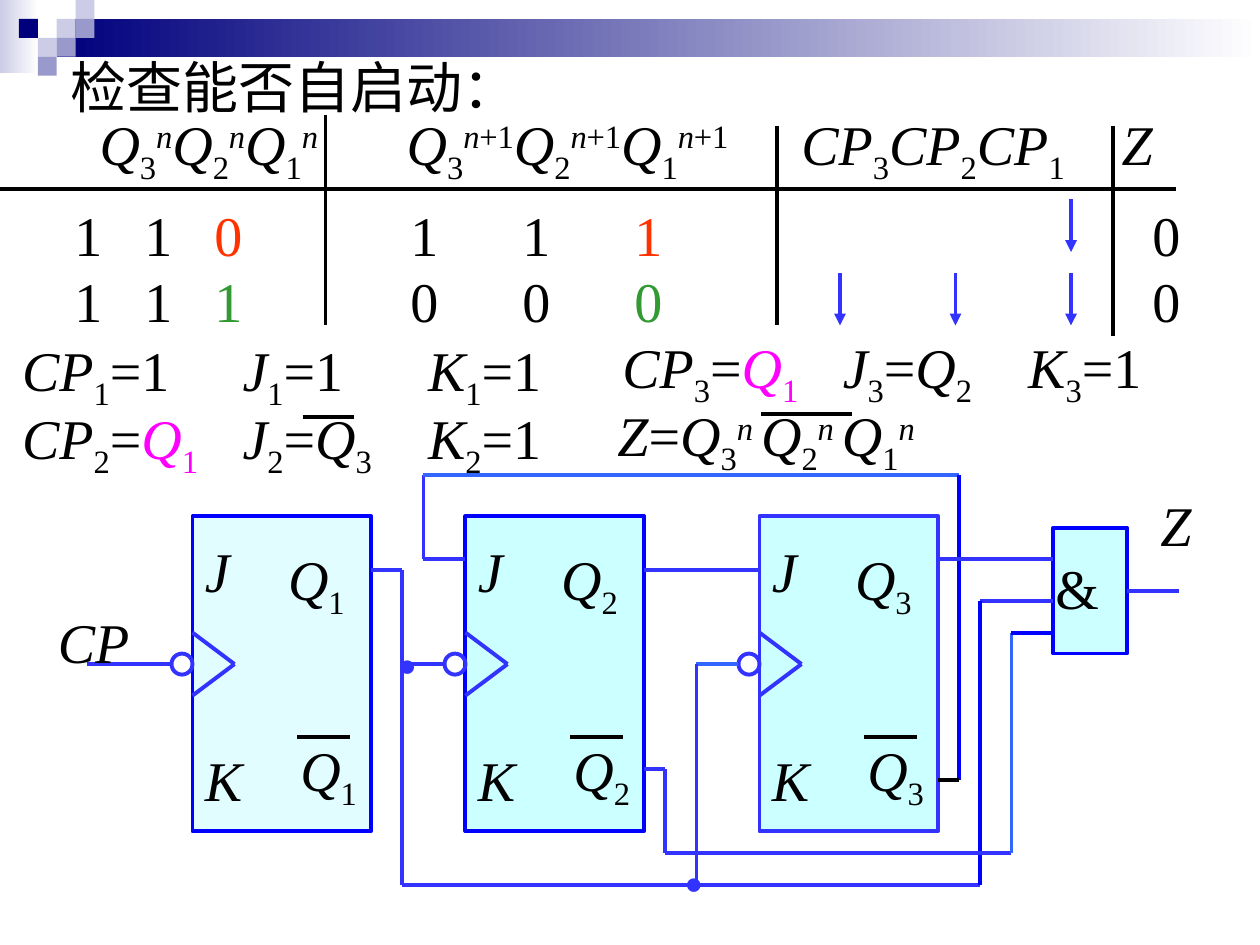
from itertools import groupby, pairwise

from lxml import etree
from pptx import Presentation
from pptx.dml.color import RGBColor
from pptx.enum import shapes, text
from pptx.oxml import ns
from pptx.util import Pt

BLACK = RGBColor(0, 0, 0)
WHITE = RGBColor(255, 255, 255)
NAVY = RGBColor(0, 0, 0x7D)
LILAC = RGBColor(0xCC, 0xCC, 0xE6)
MAUVE = RGBColor(0x99, 0x99, 0xCC)
VIOLET = RGBColor(0x33, 0x33, 0xFF)
BLUE = RGBColor(0, 0, 255)
ROYAL = RGBColor(0x33, 0x66, 0xFF)
CYAN = RGBColor(0xCC, 255, 255)
PALE = RGBColor(0xE1, 0xFD, 255)
RED = RGBColor(255, 0x33, 0)
GREEN = RGBColor(0x33, 0x99, 0x33)
PINK = RGBColor(255, 0, 255)

TITLE = "检查能否自启动："

# Corner squares: column, row, colour
TILES = [(3, 1, LILAC), (4, 0, LILAC), (4, 1, MAUVE), (2, 2, LILAC),
         (1, 1, NAVY), (3, 2, MAUVE), (2, 3, MAUVE)]
TILE = 10.8

# In formulas "_" lowers and "^" raises the next character; letters are italic
HEAD_TABS = [16, 191.5, 417, 600]
ROW_TABS = [16, 56, 96, 208, 272, 336, 632]
EQ_TABS = [126, 232]
# left, top, width, tab stops, pieces (text, colour)
LINES = [
    (33.8, 59, 650, HEAD_TABS, [
        ("\tQ_3^nQ_2^nQ_1^n\tQ_3^n^+^1Q_2^n^+^1Q_1^n^+^1"
         "\tCP_3CP_2CP_1\tZ", BLACK)]),
    (19.4, 111, 672, ROW_TABS, [
        ("\t1\t1\t", BLACK), ("0", RED), ("\t1\t1\t", BLACK), ("1", RED),
        ("\t0", BLACK)]),
    (19.4, 149, 672, ROW_TABS, [
        ("\t1\t1\t", BLACK), ("1", GREEN), ("\t0\t0\t", BLACK), ("0", GREEN),
        ("\t0", BLACK)]),
    (5.5, 188, 320, EQ_TABS, [("CP_1=1\tJ_1=1\tK_1=1", BLACK)]),
    (5.5, 227, 320, EQ_TABS, [
        ("CP_2=", BLACK), ("Q_1", PINK), ("\tJ_2=Q_3\tK_2=1", BLACK)]),
    (348.5, 186.5, 320, EQ_TABS, [
        ("CP_3=", BLACK), ("Q_1", PINK), ("\tJ_3=Q_2\tK_3=1", BLACK)]),
    (345.7, 225.5, 294, [], [("Z=Q_3^n^ Q_2^n^ Q_1^n", BLACK)]),
]

RULES = [
    [(0, 108), (672, 108)],
    [(186, 66), (186, 186)],
    [(444, 72), (444, 186)],
    [(636, 72), (636, 192)],
    [(435, 236.5), (487, 236.5)],
    [(173, 238.5), (202.5, 238.5)],
]
ARROWS = [(612, 114), (612, 156), (546, 156), (480, 156)]

# Flip-flops: number, left, fill, line
FLOPS = [(3, 434, CYAN, VIOLET), (2, 266, CYAN, BLUE), (1, 110, PALE, BLUE)]
FLOP_TOP, FLOP_W, FLOP_H = 295, 102, 180
CLOCK = 379.5
GATE = (602, 301.5, 42, 72)

WIRES = [
    (VIOLET, [(98, CLOCK), (50, CLOCK)]),
    (VIOLET, [(212, 325.5), (230, 325.5), (230, 505.5), (560, 505.5)]),
    (VIOLET, [(254, CLOCK), (230, CLOCK)]),
    (ROYAL, [(422, CLOCK), (398, CLOCK)]),
    (VIOLET, [(398, CLOCK), (398, 505.5)]),
    (VIOLET, [(266, 319.5), (242, 319.5), (242, 271.5)]),
    (ROYAL, [(242, 271.5), (548, 271.5)]),
    (BLUE, [(548, 271.5), (548, 445.5)]),
    (BLACK, [(548, 445.5), (536, 445.5)]),
    (VIOLET, [(368, 325.5), (434, 325.5)]),
    (VIOLET, [(536, 319.5), (602, 319.5)]),
    (VIOLET, [(602, 343.5), (560, 343.5)]),
    (BLUE, [(560, 343.5), (560, 505.5)]),
    (VIOLET, [(644, 337.5), (674, 337.5)]),
    (VIOLET, [(368, 439.5), (380, 439.5), (380, 487.5), (578, 487.5)]),
    (ROYAL, [(578, 487.5), (578, 361.5)]),
    (BLUE, [(578, 361.5), (602, 361.5)]),
]
# left, top, text, size, colour
LABELS = [(26, 343.5, "CP", 32, BLACK), (656, 276.5, "Z", 32, BLACK),
          (596, 312.5, "&", 32, BLACK), (220.3, 365, "●", 18, VIOLET),
          (384, 489.6, "●", 18, VIOLET)]

SHAPE = shapes.MSO_SHAPE


def block(slide, kind, left, top, width, height, fill=None, line=None):
    """Add a preset shape; a pair of fill colours makes a gradient."""
    form = slide.shapes.add_shape(kind, Pt(left), Pt(top), Pt(width), Pt(height))
    form.shadow.inherit = False
    if fill is None:
        form.fill.background()
    elif isinstance(fill, list):
        form.fill.gradient()
        form.fill.gradient_angle = 0
        for stop, tint in zip(form.fill.gradient_stops, fill):
            stop.color.rgb = tint
    else:
        form.fill.solid()
        form.fill.fore_color.rgb = fill
    if line is None:
        form.line.fill.background()
    else:
        form.line.color.rgb = line
        form.line.width = Pt(2.25)


def wire(slide, points, tint, arrow=False):
    """Join the points with straight connectors."""
    for start, end in pairwise(points):
        link = slide.shapes.add_connector(
            shapes.MSO_CONNECTOR.STRAIGHT, *map(Pt, start + end))
        link.line.color.rgb = tint
        link.line.width = Pt(2.25)
        props = link._element.spPr
        etree.SubElement(props, ns.qn("a:effectLst"))
        if arrow:
            etree.SubElement(props.find(ns.qn("a:ln")), ns.qn("a:tailEnd"),
                             type="triangle")


def split(source):
    """Yield (text, baseline, italic) for each evenly formatted stretch."""
    chars, base = [], 0
    for char in source:
        if char in "_^":
            base = -25000 if char == "_" else 30000
        else:
            chars.append((char, base, char.isalpha()))
            base = 0
    for (base, slant), group in groupby(chars, key=lambda c: c[1:]):
        yield "".join(c[0] for c in group), base, slant


def write(slide, left, top, pieces, width=60, tabs=(), size=32):
    box = slide.shapes.add_textbox(Pt(left), Pt(top), Pt(width), Pt(46))
    box.text_frame.word_wrap = True
    para = box.text_frame.paragraphs[0]
    if tabs:
        stops = etree.SubElement(para._p.get_or_add_pPr(), ns.qn("a:tabLst"))
        for stop in tabs:
            etree.SubElement(stops, ns.qn("a:tab"), pos=str(Pt(stop)), algn="l")
    para.font.name = "Times New Roman"
    para.font.size = Pt(size)
    for source, tint in pieces:
        for part, base, slant in split(source):
            run = para.add_run()
            run.text = part
            run.font.italic = slant
            run.font.color.rgb = tint
            if base:
                run.font._element.set("baseline", str(base))


def flop(slide, number, left, fill, line):
    """Draw one JK flip-flop."""
    block(slide, SHAPE.RECTANGLE, left, FLOP_TOP, FLOP_W, FLOP_H, fill, line)
    wire(slide, [(left, CLOCK - 18), (left + 24, CLOCK), (left, CLOCK + 18)],
         VIOLET)
    block(slide, SHAPE.OVAL, left - 12, CLOCK - 6, 12, 12, line=VIOLET)
    for dx, dy, label in [(0, 8, "J"), (47.5, 12.5, f"Q_{number}"),
                          (54.5, 122, f"Q_{number}"), (0, 127.5, "K")]:
        write(slide, left + dx, FLOP_TOP + dy, [(label, BLACK)])
    wire(slide, [(left + 60, 421), (left + 90, 421)], BLACK)


def title(slide):
    slide.shapes.title._element.getparent().remove(slide.shapes.title._element)
    body = slide.placeholders[1]
    body.left, body.top, body.width, body.height = map(Pt, (33, 30.5, 292, 45))
    frame = body.text_frame
    frame.auto_size = text.MSO_AUTO_SIZE.NONE
    frame.text = TITLE
    para = frame.paragraphs[0]
    props = para._p.get_or_add_pPr()
    props.set("marL", "0")
    props.set("indent", "0")
    para.line_spacing = 0.9
    para.space_before = Pt(0)
    etree.SubElement(props, ns.qn("a:buNone"))
    para.font.name = "Arial"
    para.font.size = Pt(32)
    para.font.color.rgb = BLACK


def main():
    deck = Presentation()
    deck.slide_width, deck.slide_height = Pt(720), Pt(540)
    slide = deck.slides.add_slide(deck.slide_layouts[1])
    block(slide, SHAPE.RECTANGLE, 0, 0, 22, 42, [LILAC, WHITE])
    block(slide, SHAPE.RECTANGLE, 32.4, TILE, 687.6, 21.6, [NAVY, WHITE])
    for col, row, tint in TILES:
        block(slide, SHAPE.RECTANGLE, col * TILE, row * TILE, TILE, TILE, tint)
    title(slide)
    for points in RULES:
        wire(slide, points, BLACK)
    for left, top in ARROWS:
        wire(slide, [(left, top), (left, top + 30)], VIOLET, arrow=True)
    for left, top, width, tabs, pieces in LINES:
        write(slide, left, top, pieces, width, tabs)
    block(slide, SHAPE.RECTANGLE, *GATE, CYAN, BLUE)
    for item in FLOPS:
        flop(slide, *item)
    for tint, points in WIRES:
        wire(slide, points, tint)
    for left, top, label, size, tint in LABELS:
        write(slide, left, top, [(label, tint)], size=size)
    deck.save("out.pptx")


if __name__ == "__main__":
    main()
